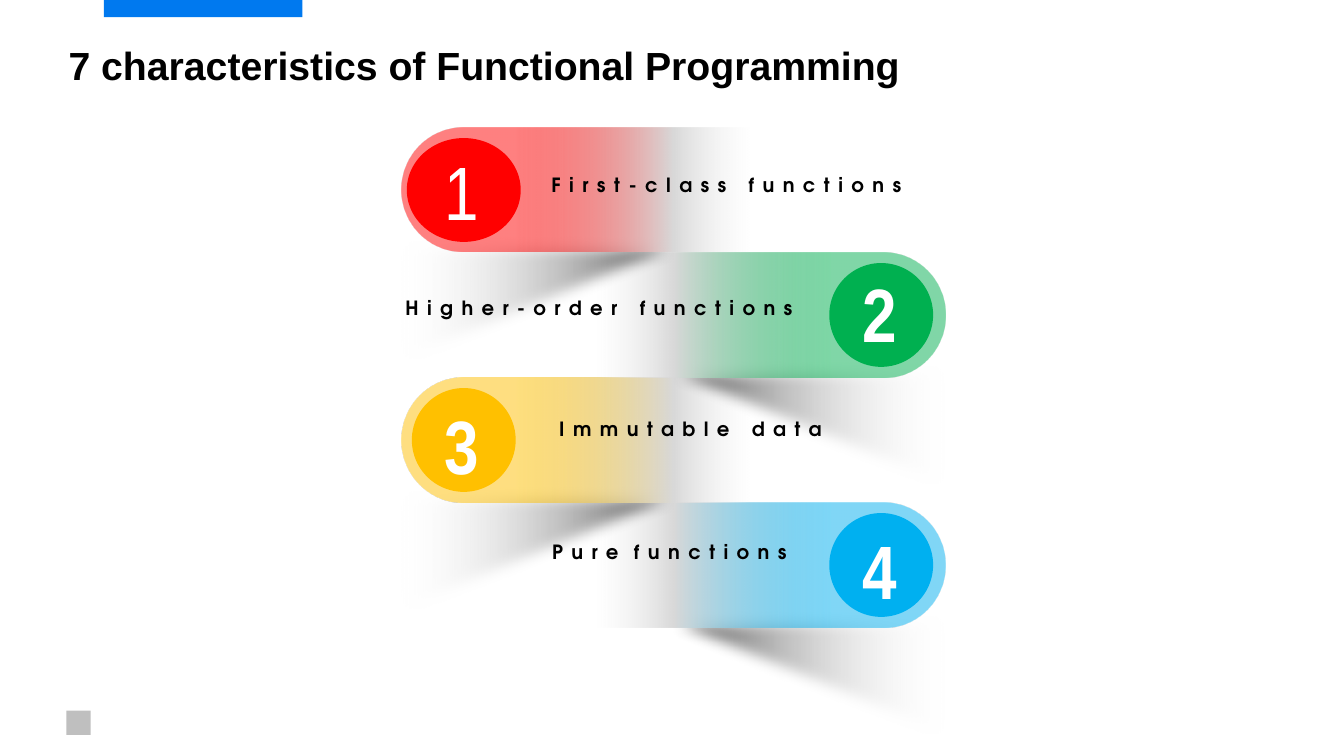
from dataclasses import dataclass

from lxml.etree import SubElement
from pptx import Presentation
from pptx.dml.color import RGBColor
from pptx.enum.shapes import MSO_SHAPE
from pptx.enum.text import MSO_ANCHOR, MSO_AUTO_SIZE, PP_ALIGN
from pptx.oxml.ns import qn
from pptx.util import Inches, Pt

RED = RGBColor(0xFF, 0x00, 0x00)
GREEN = RGBColor(0x00, 0xB0, 0x50)
AMBER = RGBColor(0xFF, 0xC0, 0x00)
SKY = RGBColor(0x00, 0xB0, 0xF0)
BLUE = RGBColor(0x00, 0x79, 0xEF)
BLACK = RGBColor(0x00, 0x00, 0x00)
WHITE = RGBColor(0xFF, 0xFF, 0xFF)
SILVER = RGBColor(0xBF, 0xBF, 0xBF)
FOLD_GRAY = RGBColor(0xD9, 0xD9, 0xD9)
FADE_GRAY = RGBColor(0xF0, 0xF0, 0xF0)

TITLE_FORMAT = {"name": "Arial", "size": Pt(28), "bold": True}
CAPTION_FORMAT = {"name": "TeX Gyre Adventor", "size": Pt(14), "bold": True}
GAP_FORMAT = {"name": "Arial", "size": Pt(18), "bold": False}
NUMBER_FORMAT = {"name": "Arial Narrow", "size": Pt(54), "bold": True}

FIRST_TOP, ROW_PITCH = 1.27, 1.24
BAND_LENGTH, BAND_HEIGHT = 3.45, 1.23
BADGE_HEIGHT = 1.03
SHADOW_STOPS = [(0, WHITE, 0), (95, BLACK, 100)]


@dataclass
class Characteristic:
    color: RGBColor
    words: list
    caption_box: tuple
    alignment: PP_ALIGN
    number_offset: float
    badge_width: float = 1.03
    bold_number: bool = True


CHARACTERISTICS = [
    Characteristic(RED, ["First-class functions"], (5.37, 1.67, 3.88, 0.34),
                   PP_ALIGN.LEFT, 0.12, 1.13, False),
    Characteristic(GREEN, ["Higher-order functions"], (3.75, 2.89, 4.21, 0.64),
                   PP_ALIGN.RIGHT, 0.09),
    Characteristic(AMBER, ["Immutable data"], (5.38, 4.09, 2.87, 0.34),
                   PP_ALIGN.RIGHT, 0.16),
    Characteristic(SKY, ["Pure", " ", "functions"], (5.11, 5.25, 2.79, 0.4),
                   PP_ALIGN.RIGHT, 0.16),
]


def add_plain_shape(slide, kind, box, color=None):
    shape = slide.shapes.add_shape(kind, *map(Inches, box))
    shape.shadow.inherit = False
    shape.line.fill.background()
    if color is not None:
        shape.fill.solid()
        shape.fill.fore_color.rgb = color
    return shape


def set_gradient(shape, stops, angle):
    shape.fill.gradient()
    shape.fill.gradient_angle = angle
    stop_list = shape._element.spPr.find(".//" + qn("a:gsLst"))
    for old_stop in list(stop_list):
        stop_list.remove(old_stop)
    for position, color, opacity in stops:
        stop = SubElement(stop_list, qn("a:gs"), pos=str(position * 1000))
        rgb = SubElement(stop, qn("a:srgbClr"), val=str(color))
        SubElement(rgb, qn("a:alpha"), val=str(opacity * 1000))


def flip(shape, *directions):
    for direction in directions:
        shape._element.spPr.xfrm.set(direction, "1")


def add_fold_shadow(slide, top, on_right):
    left = 5.93 if on_right else 3.89
    shape = add_plain_shape(slide, MSO_SHAPE.RIGHT_TRIANGLE, (left, top + 1.07, 3.54, 1.43))
    set_gradient(shape, SHADOW_STOPS, 0)
    flip(shape, "flipV", *(["flipH"] if on_right else []))
    effects = shape._element.spPr.find(qn("a:effectLst"))
    SubElement(effects, qn("a:softEdge"), rad=str(Pt(10)))


def add_band(slide, top, color, on_right):
    visible_left = 5.93 if on_right else 3.98
    inset = (BAND_LENGTH - BAND_HEIGHT) / 2
    box = (visible_left + inset, top - inset, BAND_HEIGHT, BAND_LENGTH)
    shape = add_plain_shape(slide, MSO_SHAPE.ROUND_2_SAME_RECTANGLE, box)
    shape.adjustments[0] = 0.5
    shape.adjustments[1] = 0
    set_gradient(shape, [(33, color, 50), (78, FOLD_GRAY, 100), (100, FADE_GRAY, 0)], 270)
    shape.rotation = 90 if on_right else 270
    if on_right:
        flip(shape, "flipH")


def add_badge(slide, top, item, on_right):
    center = 8.74 if on_right else 4.6
    box = (center - item.badge_width / 2, top + 0.1, item.badge_width, BADGE_HEIGHT)
    add_plain_shape(slide, MSO_SHAPE.OVAL, box, item.color)


def add_run(paragraph, text, color, spacing, formats):
    run = paragraph.add_run()
    run.text = text
    run.font.color.rgb = color
    for name, value in formats.items():
        setattr(run.font, name, value)
    run._r.get_or_add_rPr().set("spc", str(spacing * 100))


def add_text_box(slide, box, alignment):
    frame = slide.shapes.add_textbox(*map(Inches, box)).text_frame
    frame.word_wrap = True
    paragraph = frame.paragraphs[0]
    paragraph.alignment = alignment
    return paragraph


def add_caption(slide, item):
    paragraph = add_text_box(slide, item.caption_box, item.alignment)
    for word in item.words:
        if word == " ":
            add_run(paragraph, word, BLACK, 0, GAP_FORMAT)
        else:
            add_run(paragraph, word, BLACK, 6, CAPTION_FORMAT)


def add_number(slide, number, top, item, on_right):
    left = 8.46 if on_right else 4.31
    box = (left, top + item.number_offset, 0.55, 1.01)
    paragraph = add_text_box(slide, box, PP_ALIGN.LEFT)
    formats = {**NUMBER_FORMAT, "bold": item.bold_number}
    add_run(paragraph, str(number), WHITE, 3, formats)


def format_title(slide, text):
    title = slide.shapes.title
    box = {"left": 0.58, "top": 0.36, "width": 9.33, "height": 0.57}
    for name, value in box.items():
        setattr(title, name, Inches(value))
    frame = title.text_frame
    frame.auto_size = MSO_AUTO_SIZE.NONE
    frame.vertical_anchor = MSO_ANCHOR.TOP
    paragraph = frame.paragraphs[0]
    paragraph.alignment = PP_ALIGN.LEFT
    add_run(paragraph, text, BLACK, 0, TITLE_FORMAT)


def main():
    presentation = Presentation()
    presentation.slide_width = Inches(13.33)
    presentation.slide_height = Inches(7.5)
    slide = presentation.slides.add_slide(presentation.slide_layouts[5])

    format_title(slide, "7 characteristics of Functional Programming")
    add_plain_shape(slide, MSO_SHAPE.RECTANGLE, (0.66, 7.05, 0.24, 0.24), SILVER)
    add_plain_shape(slide, MSO_SHAPE.RECTANGLE, (1.03, 0, 1.97, 0.17), BLUE)

    rows = [(index + 1, FIRST_TOP + index * ROW_PITCH, item, index % 2 == 1)
            for index, item in enumerate(CHARACTERISTICS)]
    for number, top, item, on_right in reversed(rows):
        add_fold_shadow(slide, top, on_right)
        add_band(slide, top, item.color, on_right)
    for number, top, item, on_right in rows:
        add_badge(slide, top, item, on_right)
        add_caption(slide, item)
        add_number(slide, number, top, item, on_right)

    presentation.save("out.pptx")


if __name__ == "__main__":
    main()
